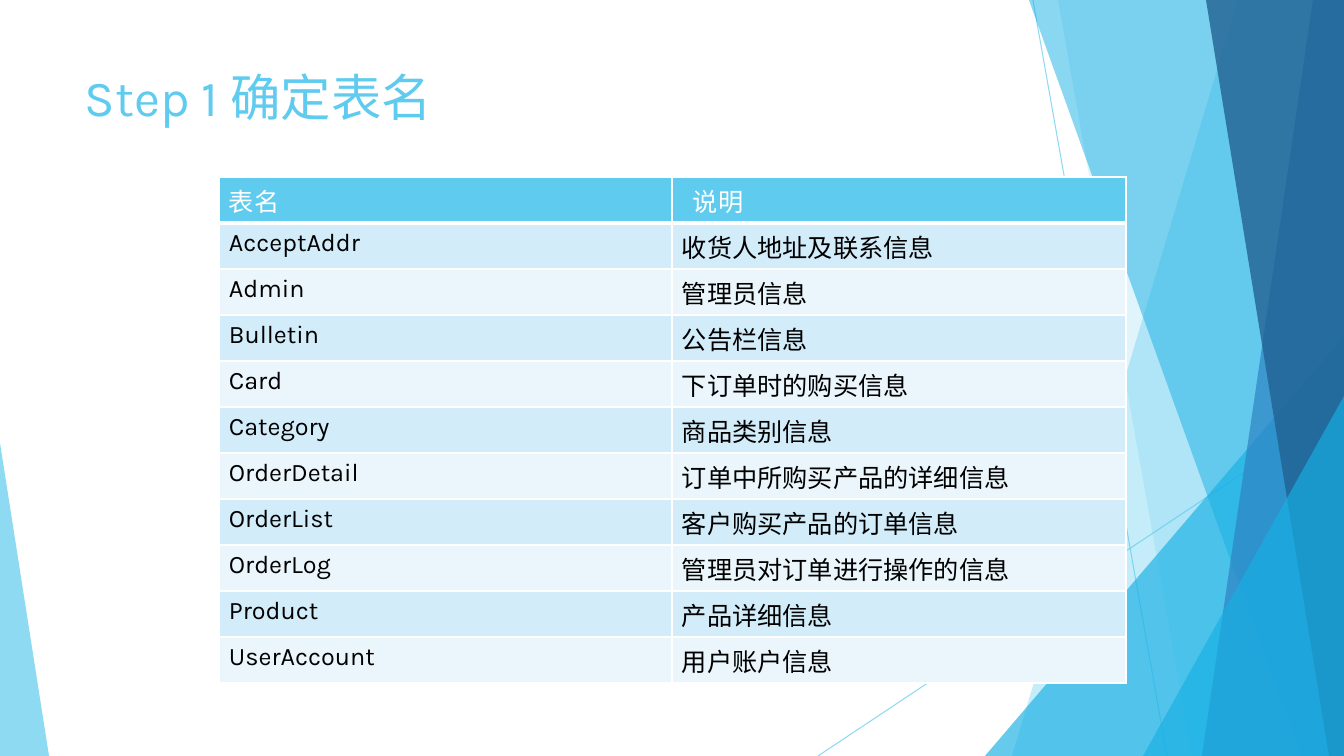
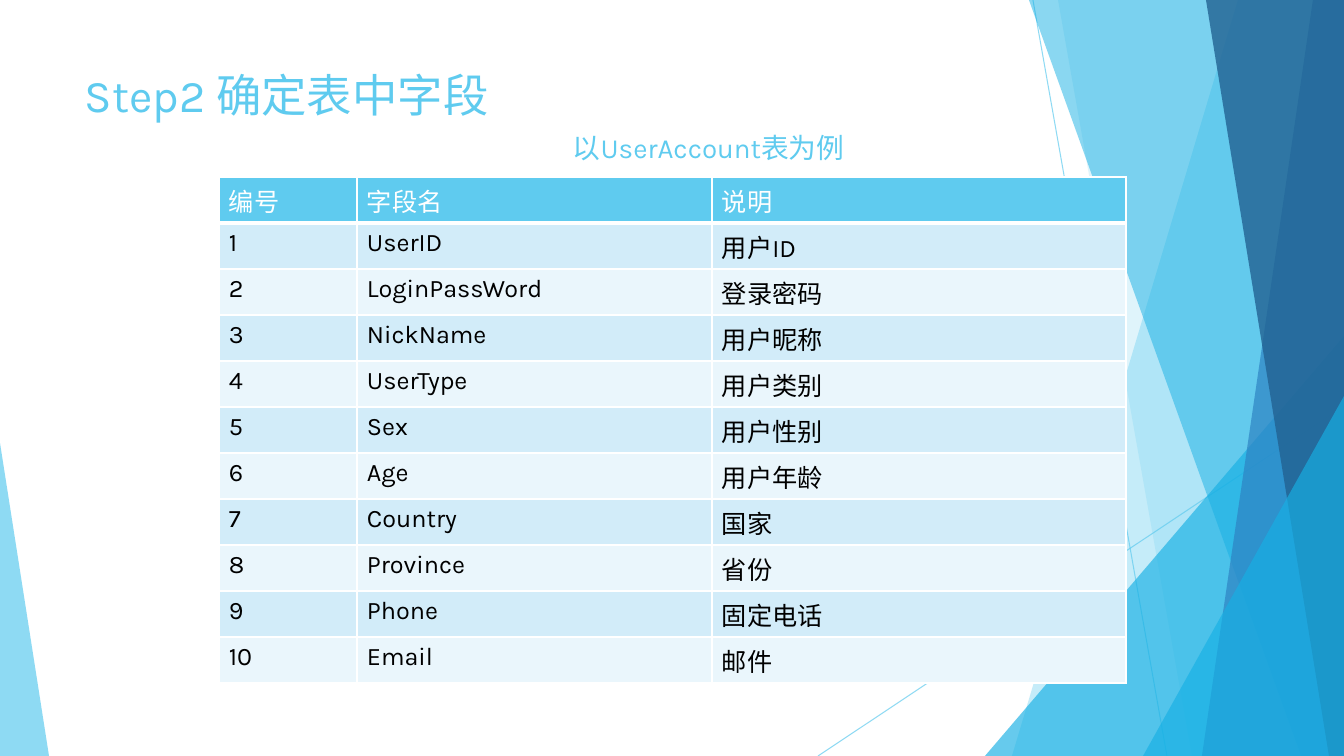
from lxml import etree
from pptx import Presentation
from pptx import util as u
from pptx.dml.color import RGBColor
from pptx.enum import shapes, text
from pptx.oxml.ns import qn

PX = 914400 / 100.8
WIDTH, HEIGHT = 1344, 756
FONT = "Karla"
COLORS = {
    "sky": "5FCBEF", "cyan": "17B0E4", "blue": "2E83C3", "navy": "226292",
    "band": "D2ECF9", "pale": "EAF6FC", "white": "FFFFFF", "ink": "000000",
}

RAYS = [((1033, 0), (1167, HEIGHT)), ((WIDTH, 406), (818, HEIGHT))]
FACETS = [
    ("strip", (1238, 1012), "sky", 36),
    ("strip", (1058, 1192), "sky", 20),
    ("triangle", (985, 336, 359, 420, 1), "cyan", 66),
    ("strip", (1029, 1301), "cyan", 50),
    ("strip", (1313, 1202), "blue", 70),
    ("strip", (1206, 1329), "navy", 80),
    ("triangle", (1143, 396, 201, 360, 1), "cyan", 66),
    ("triangle", (0, 443, 49, 313, 0), "sky", 70),
]

TITLE_BOX = (75, 68, 948, 145)
TABLE_LEFT, TABLE_TOP, ROW_HEIGHT = 219, 177, 46
CELL_INSET = 10

SLIDES = [
    {
        "title": ("Step 1 确定表名", 36),
        "columns": [453, 454],
        "header_insets": [CELL_INSET, 21],
        "rows": [
            ("表名", "说明"),
            ("AcceptAddr", "收货人地址及联系信息"),
            ("Admin", "管理员信息"),
            ("Bulletin", "公告栏信息"),
            ("Card", "下订单时的购买信息"),
            ("Category", "商品类别信息"),
            ("OrderDetail", "订单中所购买产品的详细信息"),
            ("OrderList", "客户购买产品的订单信息"),
            ("OrderLog", "管理员对订单进行操作的信息"),
            ("Product", "产品详细信息"),
            ("UserAccount", "用户账户信息"),
        ],
    },
    {
        "title": ("Step2 确定表中字段", 32.4),
        "subtitle": ("以UserAccount表为例", 19.8),
        "columns": [138, 355, 414],
        "header_insets": [CELL_INSET] * 3,
        "rows": [
            ("编号", "字段名", "说明"),
            ("1", "UserID", "用户ID"),
            ("2", "LoginPassWord", "登录密码"),
            ("3", "NickName", "用户昵称"),
            ("4", "UserType", "用户类别"),
            ("5", "Sex", "用户性别"),
            ("6", "Age", "用户年龄"),
            ("7", "Country", "国家"),
            ("8", "Province", "省份"),
            ("9", "Phone", "固定电话"),
            ("10", "Email", "邮件"),
        ],
    },
]


def px(*lengths):
    return [u.Emu(round(length * PX)) for length in lengths]


def rgb(color):
    return RGBColor.from_string(COLORS[color])


def set_alpha(parent, percent):
    for tint in parent.iter(qn("a:srgbClr")):
        etree.SubElement(tint, qn("a:alpha"), val=str(percent * 1000))


def style(paragraph, size, color):
    font = paragraph.font
    font.name, font.size, font.bold = FONT, u.Pt(size), False
    font.color.rgb = rgb(color)


def draw_ray(slide, start, end):
    ray = slide.shapes.add_connector(shapes.MSO_CONNECTOR.STRAIGHT, *px(*start, *end))
    ray.line.color.rgb = rgb("sky")
    ray.line.width = u.Pt(0.75)
    properties = ray._element.spPr
    set_alpha(properties, 70)
    etree.SubElement(properties, qn("a:effectLst"))


def draw_facet(slide, kind, geometry, color, alpha):
    if kind == "strip":
        top, bottom = geometry
        outline = slide.shapes.build_freeform(top, 0, scale=PX)
        outline.add_line_segments([(WIDTH, 0), (WIDTH, HEIGHT), (bottom, HEIGHT)])
        facet = outline.convert_to_shape()
    else:
        *place, apex = geometry
        facet = slide.shapes.add_shape(shapes.MSO_SHAPE.ISOSCELES_TRIANGLE, *px(*place))
        facet.adjustments[0] = apex
    facet.shadow.inherit = False
    facet.line.fill.background()
    facet.fill.solid()
    facet.fill.fore_color.rgb = rgb(color)
    set_alpha(facet._element.spPr, alpha)


def draw_title(slide, title, subtitle=None):
    frame = slide.shapes.add_textbox(*px(*TITLE_BOX)).text_frame
    frame.word_wrap = True
    frame.vertical_anchor = text.MSO_ANCHOR.TOP
    heading = frame.paragraphs[0]
    lines = [(heading, title)]
    if subtitle:
        example = frame.add_paragraph()
        example._p.get_or_add_pPr().set("marL", str(px(488)[0]))
        example.space_before = u.Pt(9)
        lines.append((example, subtitle))
    for paragraph, (words, size) in lines:
        paragraph.text = words
        paragraph.line_spacing = 0.9
        style(paragraph, size, "sky")


def add_borders(cell, bottom):
    properties = cell._tc.get_or_add_tcPr()
    for side, width in (("L", 1), ("R", 1), ("T", 1), ("B", bottom)):
        border = etree.SubElement(properties, qn(f"a:ln{side}"), w=str(u.Pt(width)))
        fill = etree.SubElement(border, qn("a:solidFill"))
        etree.SubElement(fill, qn("a:srgbClr"), val=COLORS["white"])


def draw_table(slide, columns, rows, header_insets):
    place = px(TABLE_LEFT, TABLE_TOP, sum(columns), ROW_HEIGHT * len(rows))
    table = slide.shapes.add_table(len(rows), len(columns), *place).table
    table.first_row = table.horz_banding = False
    for column, width in zip(table.columns, px(*columns)):
        column.width = width
    for r, words in enumerate(rows):
        header = r == 0
        table.rows[r].height = px(ROW_HEIGHT)[0]
        for c, word in enumerate(words):
            cell = table.cell(r, c)
            add_borders(cell, 3 if header else 1)
            cell.fill.solid()
            cell.fill.fore_color.rgb = rgb("sky" if header else ("pale", "band")[r % 2])
            cell.margin_left = px(header_insets[c] if header else CELL_INSET)[0]
            cell.text = word
            style(cell.text_frame.paragraphs[0], 18, "white" if header else "ink")


def main():
    deck = Presentation()
    deck.slide_width, deck.slide_height = px(WIDTH, HEIGHT)
    for content in SLIDES:
        slide = deck.slides.add_slide(deck.slide_layouts[6])
        for ray in RAYS:
            draw_ray(slide, *ray)
        for facet in FACETS:
            draw_facet(slide, *facet)
        draw_title(slide, content["title"], content.get("subtitle"))
        draw_table(slide, content["columns"], content["rows"], content["header_insets"])
    deck.save("out.pptx")


if __name__ == "__main__":
    main()
